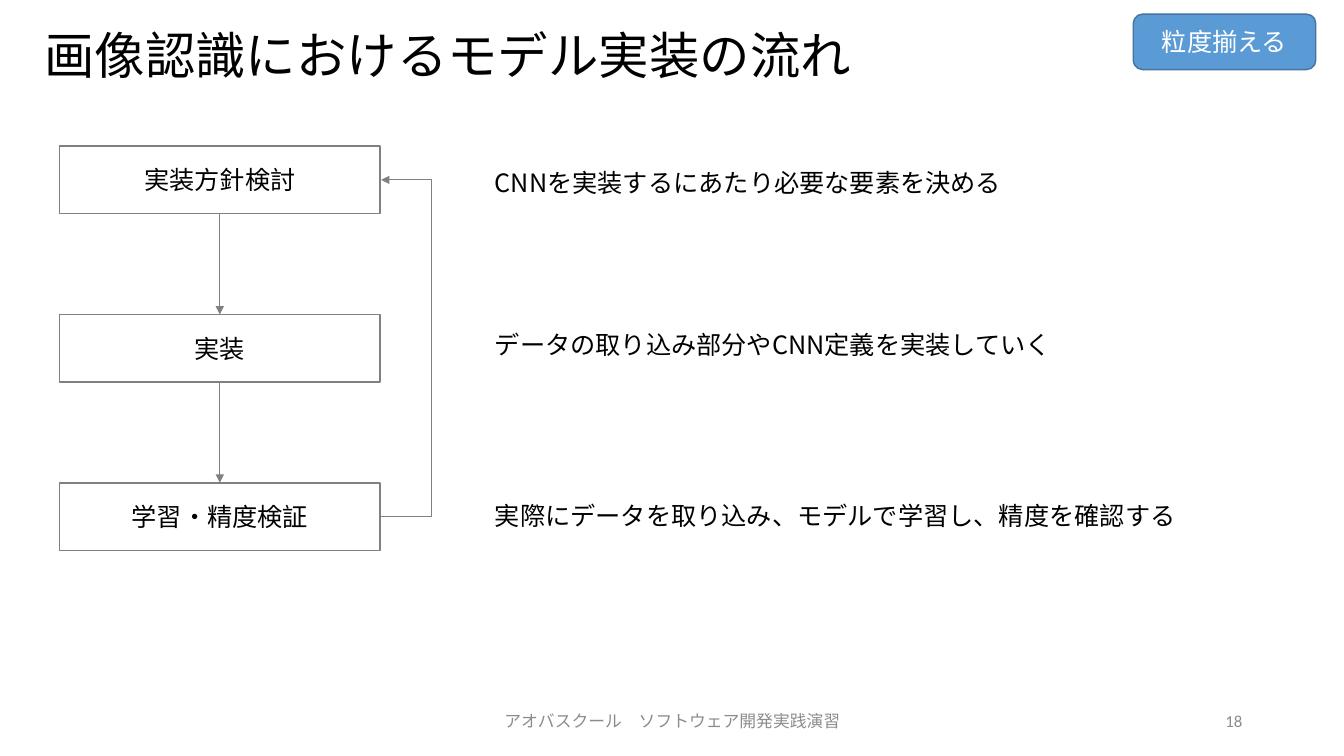
from dataclasses import dataclass

from pptx import Presentation
from pptx.dml.color import RGBColor
from pptx.enum.shapes import MSO_CONNECTOR, MSO_SHAPE
from pptx.enum.text import MSO_ANCHOR, PP_ALIGN
from pptx.oxml.ns import qn
from pptx.util import Inches, Pt

STRAIGHT, ELBOW = MSO_CONNECTOR.STRAIGHT, MSO_CONNECTOR.ELBOW
RECTANGLE, ROUNDED = MSO_SHAPE.RECTANGLE, MSO_SHAPE.ROUNDED_RECTANGLE
LEFT, CENTER, RIGHT = PP_ALIGN.LEFT, PP_ALIGN.CENTER, PP_ALIGN.RIGHT
MIDDLE = MSO_ANCHOR.MIDDLE
TOP_SIDE, BOTTOM_SIDE = 0, 2


@dataclass(frozen=True)
class Theme:
    japanese: str = "Noto Sans CJK JP"
    latin: str = "Calibri"
    text: RGBColor = RGBColor(0, 0, 0)
    line: RGBColor = RGBColor(0x80, 0x80, 0x80)
    footer: RGBColor = RGBColor(0x8C, 0x8C, 0x8C)
    badge_fill: RGBColor = RGBColor(0x5B, 0x9B, 0xD5)
    badge_line: RGBColor = RGBColor(0x43, 0x73, 0x9E)
    badge_text: RGBColor = RGBColor(0xFF, 0xFF, 0xFF)
    title_size: Pt = Pt(36)
    body_size: Pt = Pt(18)
    footer_size: Pt = Pt(12)


theme = Theme()


def write(shape, text, size=theme.body_size, color=theme.text,
          font_name=theme.japanese, alignment=LEFT):
    """Put one vertically centred paragraph into the shape and return it."""
    frame = shape.text_frame
    frame.word_wrap = True
    frame.vertical_anchor = MIDDLE
    paragraph = frame.paragraphs[0]
    paragraph.text = text
    paragraph.alignment = alignment
    paragraph.font.size = size
    paragraph.font.color.rgb = color
    paragraph.font.name = font_name
    properties = paragraph._p.pPr.find(qn("a:defRPr"))
    east_asian = properties.makeelement(qn("a:ea"), {"typeface": theme.japanese})
    properties.append(east_asian)
    return paragraph


def style_arrow(connector):
    """Give the connector a thin grey line, a triangle at its end and no shadow."""
    connector.line.color.rgb = theme.line
    connector.line.width = Pt(0.5)
    line = connector.line._get_or_add_ln()
    line.append(line.makeelement(qn("a:tailEnd"), {"type": "triangle"}))
    shape_properties = connector._element.spPr
    shape_properties.append(shape_properties.makeelement(qn("a:effectLst"), {}))


presentation = Presentation()
presentation.slide_width = Inches(13.33)
presentation.slide_height = Inches(7.5)
slide = presentation.slides.add_slide(presentation.slide_layouts[6])
shapes = slide.shapes

# Title and badge
title = shapes.add_textbox(Inches(0.34), Inches(0.21), Inches(12.72), Inches(0.74))
write(title, "画像認識におけるモデル実装の流れ", theme.title_size).line_spacing = 0.9

badge = shapes.add_shape(ROUNDED, Inches(11.24), Inches(0.14), Inches(1.81), Inches(0.55))
badge.shadow.inherit = False
badge.fill.solid()
badge.fill.fore_color.rgb = theme.badge_fill
badge.line.color.rgb = theme.badge_line
badge.line.width = Pt(1)
write(badge, "粒度揃える", color=theme.badge_text, font_name=theme.latin, alignment=CENTER)

# Steps with their descriptions
step_left, first_top, step_width, step_height, step_pitch = 0.59, 1.45, 3.18, 0.67, 1.67
steps = [
    ("実装方針検討", "CNNを実装するにあたり必要な要素を決める", 1.45),
    ("実装", "データの取り込み部分やCNN定義を実装していく", 3.05),
    ("学習・精度検証", "実際にデータを取り込み、モデルで学習し、精度を確認する", 4.75),
]
boxes = []
for index, (name, description, description_top) in enumerate(steps):
    box = shapes.add_shape(RECTANGLE, Inches(step_left), Inches(first_top + index * step_pitch),
                           Inches(step_width), Inches(step_height))
    box.shadow.inherit = False
    box.fill.background()
    box.line.color.rgb = theme.line
    box.line.width = Pt(1)
    write(box, name, alignment=CENTER)
    boxes.append(box)

    note = shapes.add_textbox(Inches(4.81), Inches(description_top), Inches(7.6), Inches(0.73))
    write(note, description)

# Arrows down, and the loop back to the first step
for upper, lower in zip(boxes, boxes[1:]):
    arrow = shapes.add_connector(STRAIGHT, 0, 0, 0, 0)
    arrow.begin_connect(upper, BOTTOM_SIDE)
    arrow.end_connect(lower, TOP_SIDE)
    style_arrow(arrow)

step_right = step_left + step_width
first_middle = first_top + step_height / 2
last_middle = first_middle + (len(steps) - 1) * step_pitch
loop_span, loop_reach = 0.01, 0.52
loop = shapes.add_connector(ELBOW, Inches(step_right), Inches(last_middle),
                            Inches(step_right + loop_span), Inches(first_middle))
guides = loop._element.spPr.prstGeom.get_or_add_avLst()
bend = round(loop_reach / loop_span * 100000)
guides.append(guides.makeelement(qn("a:gd"), {"name": "adj1", "fmla": f"val {bend}"}))
style_arrow(loop)

# Footer
for left, width, text, alignment in [
    (4.42, 4.5, "アオバスクール　ソフトウェア開発実践演習", CENTER),
    (9.42, 3, "18", RIGHT),
]:
    footer = shapes.add_textbox(Inches(left), Inches(6.95), Inches(width), Inches(0.4))
    write(footer, text, theme.footer_size, theme.footer, theme.latin, alignment)

presentation.save("out.pptx")
